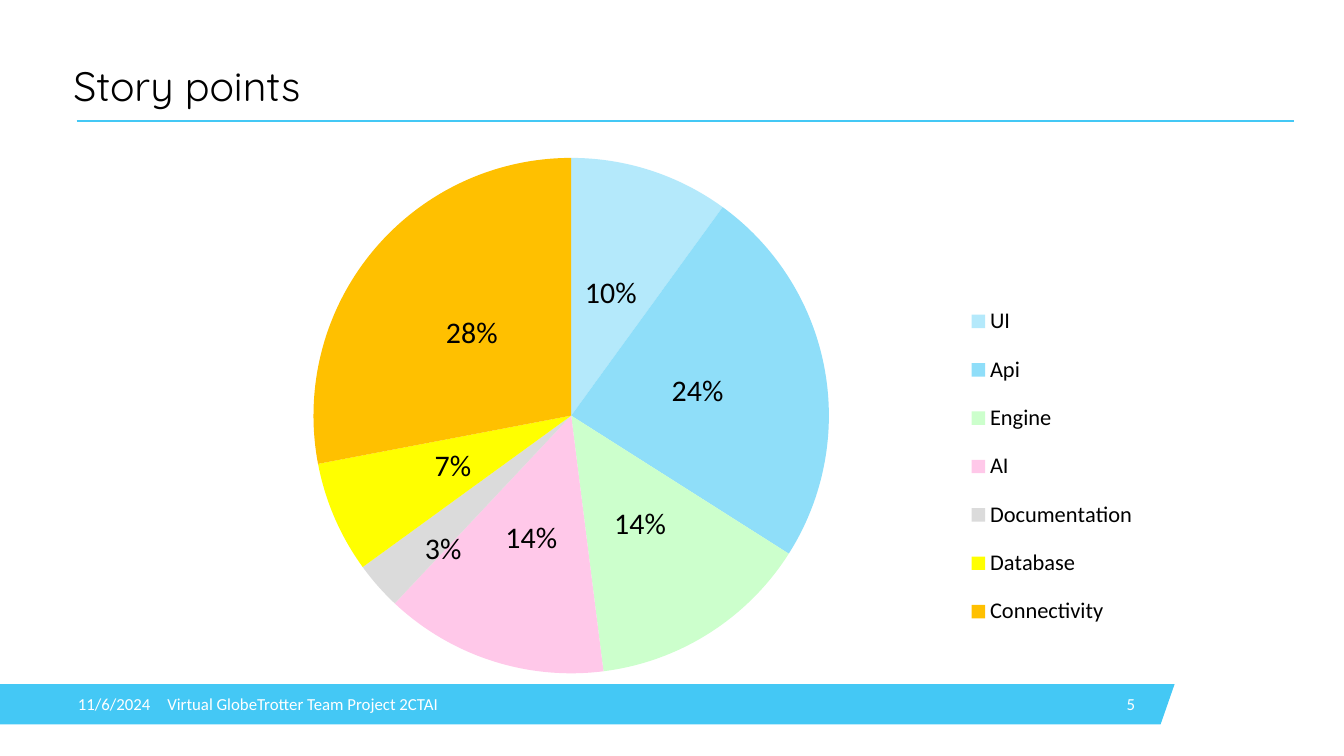
from copy import deepcopy

from pptx import Presentation
from pptx import util as u
from pptx.chart.data import CategoryChartData
from pptx.dml.color import RGBColor
from pptx.enum import chart as charts, shapes, text
from pptx.oxml import parse_xml
from pptx.oxml.ns import nsdecls, qn

ACCENT, BLACK, WHITE = "44C8F5", "000000", "FFFFFF"
BAR_TOP, BAR_HEIGHT = 733, 43.2
STORY_POINTS = {
    "UI": (10, "B4E9FB"),
    "Api": (24, "8FDEF9"),
    "Engine": (14, "CCFFCC"),
    "AI": (14, "FFC8E9"),
    "Documentation": (3, "DBDBDB"),
    "Database": (7, "FFFF00"),
    "Connectivity": (28, "FFC000"),
}


def color(value):
    return RGBColor.from_string(value)


def apply(target, values):
    for name, value in values.items():
        setattr(target, name, value)


def layout_xml(modes, **fractions):
    parts = [f'<c:{mode} val="{value}"/>' for mode, value in modes.items()]
    parts += [f'<c:{name} val="{value}"/>' for name, value in fractions.items()]
    return parse_xml(
        f'<c:layout {nsdecls("c")}><c:manualLayout>{"".join(parts)}'
        "</c:manualLayout></c:layout>"
    )


def place(element, index, x, y, w, h):
    for old in element.findall(qn("c:layout")):
        element.remove(old)
    modes = {"xMode": "edge", "yMode": "edge"}
    if element.tag == qn("c:plotArea"):
        modes = {"layoutTarget": "inner", **modes}
    element.insert(index, layout_xml(modes, x=x, y=y, w=w, h=h))


class SlideBuilder:
    body_font = "Calibri"
    title_font = "Quicksand"

    def __init__(self, slide):
        self.slide = slide

    def set_font(self, font, size, hex_color=BLACK, name=body_font):
        apply(font, {"size": u.Pt(size), "name": name, "bold": False})
        font.color.rgb = color(hex_color)

    def set_frame(self, frame, margin, anchor):
        apply(frame, {
            "word_wrap": True, "vertical_anchor": anchor,
            "margin_left": u.Pt(margin), "margin_right": u.Pt(margin),
            "margin_top": 0, "margin_bottom": 0,
        })

    def title(self, words, left, top, width, height):
        shape = self.slide.shapes.title
        apply(shape, {"left": u.Pt(left), "top": u.Pt(top),
                      "width": u.Pt(width), "height": u.Pt(height)})
        frame = shape.text_frame
        frame.text = words
        self.set_frame(frame, 0, text.MSO_ANCHOR.MIDDLE)
        frame.auto_size = text.MSO_AUTO_SIZE.NONE
        paragraph = frame.paragraphs[0]
        apply(paragraph, {"alignment": text.PP_ALIGN.LEFT,
                          "line_spacing": 0.9, "space_after": u.Pt(9)})
        self.set_font(paragraph.font, 44, name=self.title_font)

    def footer(self, words, left, width, margin=0, align=text.PP_ALIGN.LEFT):
        shape = self.slide.shapes.add_textbox(
            u.Pt(left), u.Pt(BAR_TOP), u.Pt(width), u.Pt(BAR_HEIGHT))
        frame = shape.text_frame
        frame.text = words
        self.set_frame(frame, margin, text.MSO_ANCHOR.MIDDLE)
        paragraph = frame.paragraphs[0]
        paragraph.alignment = align
        self.set_font(paragraph.font, 18, WHITE)

    def polygon(self, points, fill):
        start, *rest = [(u.Pt(x), u.Pt(y)) for x, y in points]
        builder = self.slide.shapes.build_freeform(*start)
        builder.add_line_segments(rest, close=True)
        shape = builder.convert_to_shape()
        shape.shadow.inherit = False
        shape.fill.solid()
        shape.fill.fore_color.rgb = color(fill)
        shape.line.fill.background()

    def rule(self, left, right, y):
        line = self.slide.shapes.add_connector(
            shapes.MSO_CONNECTOR.STRAIGHT, u.Pt(left), u.Pt(y), u.Pt(right), u.Pt(y))
        line.line.color.rgb = color(ACCENT)
        line.line.width = u.Pt(2.25)
        line._element.spPr.append(parse_xml(f'<a:effectLst {nsdecls("a")}/>'))

    def pie(self, points, left, top, width, height):
        data = CategoryChartData()
        data.categories = list(points)
        data.add_series("Series 1", [value for value, _ in points.values()])
        chart = self.slide.shapes.add_chart(
            charts.XL_CHART_TYPE.PIE, u.Pt(left), u.Pt(top),
            u.Pt(width), u.Pt(height), data).chart
        apply(chart, {"has_title": False, "has_legend": True})
        self.set_font(chart.font, 10)
        plot = chart.plots[0]
        plot.vary_by_categories = True
        series = plot.series[0]
        for index, (_, fill) in enumerate(points.values()):
            point = series.points[index].format
            point.fill.solid()
            point.fill.fore_color.rgb = color(fill)
            point.line.fill.background()

        labels = series.data_labels
        apply(labels, {
            "show_percentage": True, "show_value": False,
            "number_format": "0%", "number_format_is_linked": False,
            "position": charts.XL_LABEL_POSITION.CENTER,
        })
        self.set_font(labels.font, 32)
        self.shift_label(labels._element, list(points).index("Documentation"), -0.03, 0.09)

        legend = chart.legend
        apply(legend, {"position": charts.XL_LEGEND_POSITION.RIGHT,
                       "include_in_layout": False})
        self.set_font(legend.font, 24)
        place(legend._element, 1, 0.79, 0.26, 0.18, 0.67)
        plot_area = chart._chartSpace.find(".//" + qn("c:plotArea"))
        place(plot_area, 0, 0.17, 0.02, 0.5, 0.96)

    def shift_label(self, labels, index, x, y):
        label = parse_xml(f'<c:dLbl {nsdecls("c")}><c:idx val="{index}"/></c:dLbl>')
        label.append(layout_xml({}, x=x, y=y))
        names = ("numFmt", "spPr", "txPr", "dLblPos", "showLegendKey", "showVal",
                 "showCatName", "showSerName", "showPercent", "showBubbleSize")
        for name in names:
            element = labels.find(qn("c:" + name))
            if element is not None:
                label.append(deepcopy(element))
        labels.insert(0, label)


def main():
    presentation = Presentation()
    apply(presentation, {"slide_width": u.Pt(1440), "slide_height": u.Pt(810)})
    slide = presentation.slides.add_slide(presentation.slide_layouts[5])
    builder = SlideBuilder(slide)
    bottom = BAR_TOP + BAR_HEIGHT
    builder.polygon([(0, BAR_TOP), (1258.5, BAR_TOP), (1243.5, bottom), (0, bottom)], ACCENT)
    builder.rule(82, 1386, 129.6)
    builder.footer("5", 1144.8, 78.5, 7.2, text.PP_ALIGN.RIGHT)
    builder.title("Story points", 78.5, 69.8, 1305.4, 49.7)
    builder.footer("11/6/2024", 83.5, 95.8)
    builder.footer("Virtual GlobeTrotter Team Project 2CTAI", 179.3, 486)
    builder.pie(STORY_POINTS, 141.8, 157.7, 1119.6, 575.3)
    presentation.save("out.pptx")


if __name__ == "__main__":
    main()
